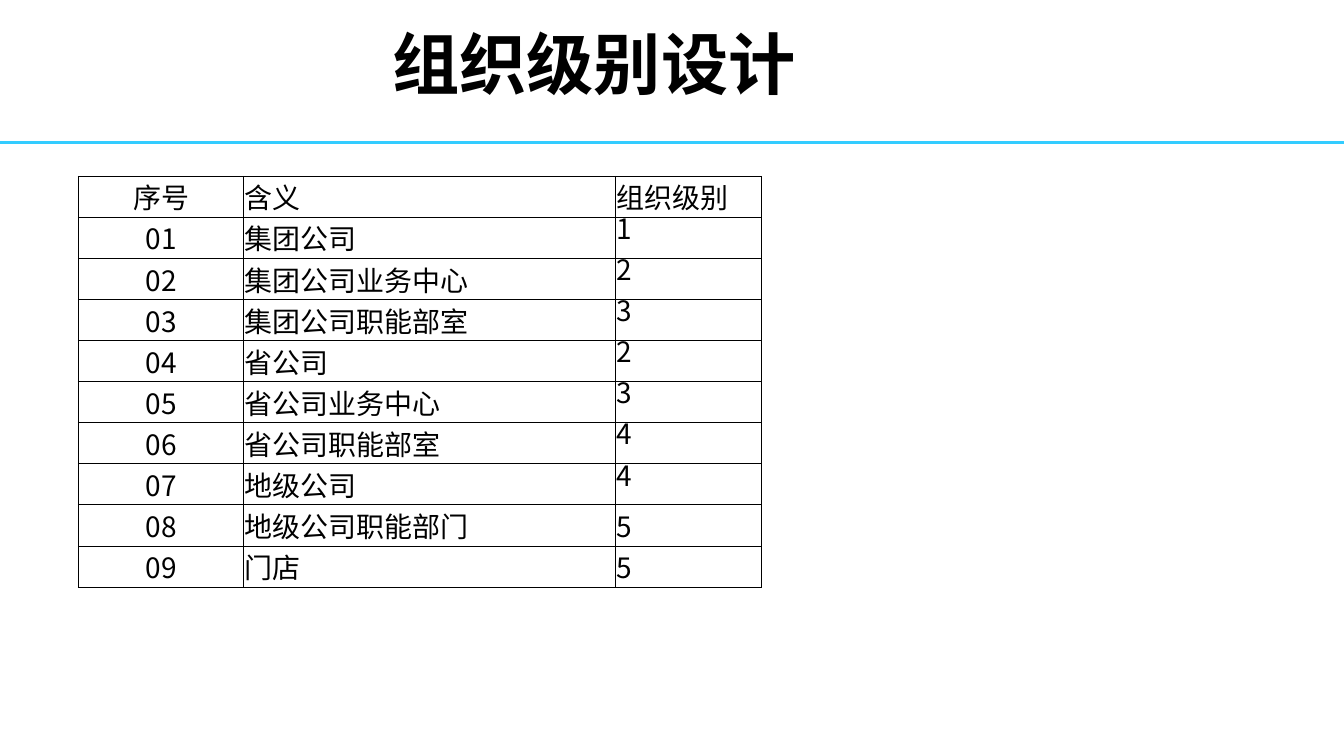
from lxml import etree
from pptx import Presentation
from pptx.dml.color import RGBColor
from pptx.enum.shapes import MSO_CONNECTOR
from pptx.enum.text import PP_ALIGN
from pptx.oxml.ns import qn
from pptx.util import Pt

CENTER = PP_ALIGN.CENTER
LEFT = PP_ALIGN.LEFT
STRAIGHT = MSO_CONNECTOR.STRAIGHT
FACE = "Noto Sans CJK SC"
BLACK = "000000"
BLUE = "33CCFF"
HEAD = ["序号", "含义", "组织级别"]
LEVELS = [
    ("集团公司", 1),
    ("集团公司业务中心", 2),
    ("集团公司职能部室", 3),
    ("省公司", 2),
    ("省公司业务中心", 3),
    ("省公司职能部室", 4),
    ("地级公司", 4),
    ("地级公司职能部门", 5),
    ("门店", 5),
]
WIDTHS = [88.5, 199.3, 78.2]


def color(code):
    return RGBColor.from_string(code)


def trim(holder):
    holder.margin_left = holder.margin_right = 0
    holder.margin_top = holder.margin_bottom = 0


def write(frame, text, size, bold=False, align=LEFT, indent=0):
    para = frame.paragraphs[0]
    para.text = text
    para.alignment = align
    font = para.font
    font.name, font.size, font.bold = FACE, Pt(size), bold
    font.color.rgb = color(BLACK)
    props = para._p.get_or_add_pPr()
    props.set("marL", str(Pt(indent)))
    props.set("indent", "0")
    etree.SubElement(props.find(qn("a:defRPr")), qn("a:ea"), typeface=FACE)
    return para


def border(cell):
    props = cell._tc.get_or_add_tcPr()
    for place, side in enumerate(("a:lnL", "a:lnR", "a:lnT", "a:lnB")):
        line = etree.Element(qn(side), w=str(Pt(0.5)))
        fill = etree.SubElement(line, qn("a:solidFill"))
        etree.SubElement(fill, qn("a:srgbClr"), val=BLACK)
        props.insert(place, line)


def add_title(slide, left, top, width, height):
    box = slide.shapes.add_textbox(Pt(left), Pt(top), Pt(width), Pt(height))
    frame = box.text_frame
    trim(frame)
    frame.word_wrap = True
    para = write(frame, "组织级别设计", 36, bold=True, indent=98.6)
    para.line_spacing = Pt(42)


def add_rule(slide, left, top, width):
    rule = slide.shapes.add_connector(
        STRAIGHT, Pt(left), Pt(top), Pt(left + width), Pt(top))
    rule.line.color.rgb = color(BLUE)
    rule.line.width = Pt(1.5)
    etree.SubElement(rule._element.spPr, qn("a:effectLst"))


def add_levels(slide, left, top, width, height):
    rows = [HEAD]
    for number, (name, level) in enumerate(LEVELS, 1):
        rows.append([f"{number:02}", name, str(level)])
    table = slide.shapes.add_table(
        len(rows), len(HEAD), Pt(left), Pt(top), Pt(width), Pt(height)).table
    table.first_row = table.horz_banding = False
    for column, share in zip(table.columns, WIDTHS):
        column.width = Pt(width * share / sum(WIDTHS))
    for r, row in enumerate(rows):
        table.rows[r].height = Pt(height / len(rows))
        for c, text in enumerate(row):
            cell = table.cell(r, c)
            trim(cell)
            cell.fill.background()
            border(cell)
            align, indent = (LEFT, 0.7) if c else (CENTER, 0)
            para = write(cell.text_frame, text, 15, align=align, indent=indent)
            if c == 2 and 0 < r < 8:
                para.line_spacing = Pt(16.2)
            else:
                para.space_before = Pt(4.5 if c == 1 and r else 1.4)


def main():
    deck = Presentation()
    deck.slide_width, deck.slide_height = Pt(720), Pt(405)
    slide = deck.slides.add_slide(deck.slide_layouts[6])
    add_rule(slide, 0, 76.3, 720)
    add_title(slide, 111.6, 13, 497.5, 42)
    add_levels(slide, 42, 94.5, 366, 220)
    deck.save("out.pptx")


if __name__ == "__main__":
    main()
